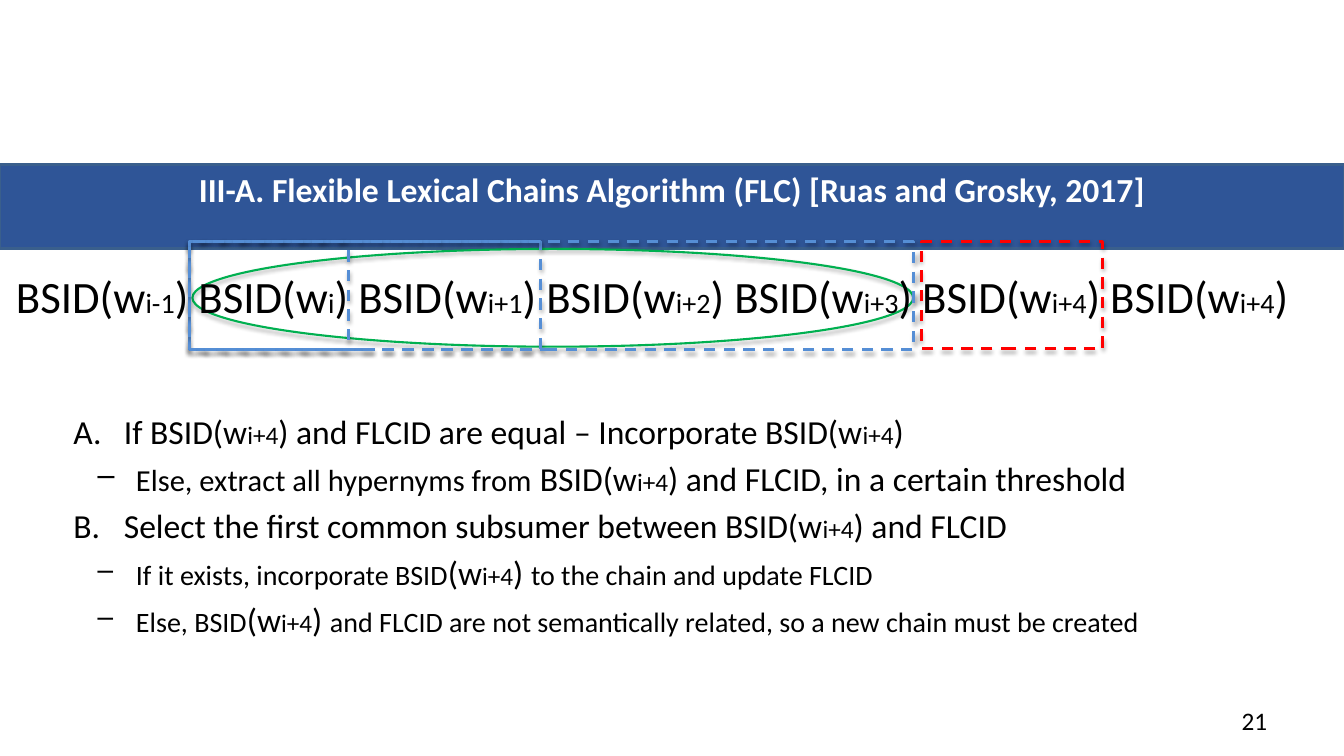
from lxml import etree
from pptx import Presentation
from pptx.dml.color import RGBColor
from pptx.enum.dml import MSO_LINE
from pptx.enum.shapes import MSO_SHAPE
from pptx.enum.text import MSO_ANCHOR, MSO_AUTO_SIZE, PP_ALIGN
from pptx.oxml.ns import qn
from pptx.util import Inches, Pt

RECTANGLE, OVAL = MSO_SHAPE.RECTANGLE, MSO_SHAPE.OVAL
DASH = MSO_LINE.DASH
LEFT, CENTER, RIGHT = PP_ALIGN.LEFT, PP_ALIGN.CENTER, PP_ALIGN.RIGHT
TOP, MIDDLE = MSO_ANCHOR.TOP, MSO_ANCHOR.MIDDLE
GROW = MSO_AUTO_SIZE.SHAPE_TO_FIT_TEXT

FONT = "Calibri"
COLORS = {
    "banner": "2F5597",
    "banner_edge": "3A5F8C",
    "title": "FFFFFF",
    "text": "000000",
    "window": "558ED5",
    "chain": "00B050",
    "candidate": "FF0000",
    "shadow": "000000",
}
WIDTH, HEIGHT = Inches(13.33), Inches(7.5)
COLUMN, ROW = WIDTH / 100, HEIGHT / 100

WINDOW_LEFT, WINDOW_TOP, WINDOW_ROWS = 14.1, 32, 14.27
WINDOW_COLUMNS = (11.85, 26.1, 53.85)
SUBSCRIPTS = ("i-1", "i", "i+1", "i+2", "i+3", "i+4", "i+4")
NEXT = ("i+4", 18)
STEPS = [
    (0, [("If BSID(w", 24), NEXT, (") and FLCID are equal – Incorporate BSID(w", 24),
         NEXT, (")", 24)]),
    (1, [("Else, extract all hypernyms from", 21.8), (" BSID(w", 24), NEXT,
         (") and FLCID, in a certain threshold", 24)]),
    (0, [("Select the first common subsumer between BSID(w", 24), NEXT,
         (") and FLCID", 24)]),
    (1, [("If it exists, incorporate BSID", 20), ("(w", 24), NEXT, (") ", 24),
         ("to the chain and update FLCID", 20)]),
    (1, [("Else, BSID", 20), ("(w", 24), NEXT, (") ", 24),
         ("and FLCID are not semantically related, so a new chain must be created", 20)]),
]


def color(name):
    return RGBColor.from_string(COLORS[name])


def grid(left, top, columns, rows):
    return (round(left * COLUMN), round(top * ROW),
            round(columns * COLUMN), round(rows * ROW))


def write(para, pieces, name="text", align=LEFT, bold=False):
    para.alignment = align
    for text, size in pieces:
        span = para.add_run()
        span.text = text
        span.font.name = FONT
        span.font.size = Pt(size)
        span.font.bold = bold
        span.font.color.rgb = color(name)


def add_text(page, area, anchor=TOP):
    frame = page.shapes.add_textbox(*grid(*area)).text_frame
    frame.word_wrap = True
    frame.vertical_anchor = anchor
    return frame


def add_shadow(shape):
    effects = etree.SubElement(shape._element.spPr, qn("a:effectLst"))
    shadow = etree.SubElement(effects, qn("a:outerShdw"), blurRad="40000",
                              dist="23000", dir="5400000", rotWithShape="0")
    tint = etree.SubElement(shadow, qn("a:srgbClr"), val=COLORS["shadow"])
    etree.SubElement(tint, qn("a:alpha"), val="35000")


def add_outline(page, kind, area, name, width=2, dash=DASH):
    shape = page.shapes.add_shape(kind, *grid(*area))
    shape.fill.background()
    shape.line.color.rgb = color(name)
    shape.line.width = Pt(width)
    shape.line.dash_style = dash
    add_shadow(shape)


def add_banner(page, text):
    title = page.shapes.title
    title.left, title.top, title.width, title.height = grid(0, 21.73, 100, 6.67)
    title.fill.solid()
    title.fill.fore_color.rgb = color("banner")
    title.line.color.rgb = color("banner_edge")
    title.line.width = Pt(2)
    frame = title.text_frame
    frame.word_wrap = True
    frame.auto_size = GROW
    frame.vertical_anchor = TOP
    write(frame.paragraphs[0], [(text, 24)], "title", CENTER, True)


def add_sequence(page):
    pieces = []
    for index, subscript in enumerate(SUBSCRIPTS):
        pieces += [(") BSID(w" if index else "BSID(w", 32), (subscript, 20)]
    frame = add_text(page, (0.45, 34.93, 99.15, 8.53))
    frame.auto_size = GROW
    write(frame.paragraphs[0], pieces + [(")", 32)])


def set_marker(para, level):
    para.level = level
    margin, indent = ((0.5, -0.5), (0.62, -0.38))[level]
    properties = para._p.get_or_add_pPr()
    properties.set("marL", str(Inches(margin)))
    properties.set("indent", str(Inches(indent)))
    if level:
        etree.SubElement(properties, qn("a:buChar"), char="–")
    else:
        etree.SubElement(properties, qn("a:buAutoNum"), type="alphaUcPeriod")


def add_steps(page):
    frame = add_text(page, (4.73, 53.73, 85.05, 44.27))
    for index, (level, pieces) in enumerate(STEPS):
        para = frame.add_paragraph() if index else frame.paragraphs[0]
        set_marker(para, level)
        if index:
            para.space_before = Pt(4.8)
        write(para, pieces)


def main():
    deck = Presentation()
    deck.slide_width, deck.slide_height = WIDTH, HEIGHT
    page = deck.slides.add_slide(deck.slide_layouts[5])
    add_banner(page, "III-A. Flexible Lexical Chains Algorithm (FLC) [Ruas and Grosky, 2017]")
    add_outline(page, OVAL, (14.32, 32.93, 53.63, 12.93), "chain", 1.5, None)
    add_sequence(page)
    for columns in WINDOW_COLUMNS:
        add_outline(page, RECTANGLE, (WINDOW_LEFT, WINDOW_TOP, columns, WINDOW_ROWS), "window")
    add_outline(page, RECTANGLE, (68.55, WINDOW_TOP, 13.5, 14.13), "candidate")
    add_steps(page)
    number = add_text(page, (71.7, 92.67, 23.32, 5.33), MIDDLE)
    write(number.paragraphs[0], [("21", 18)], align=RIGHT)
    deck.save("out.pptx")


if __name__ == "__main__":
    main()
